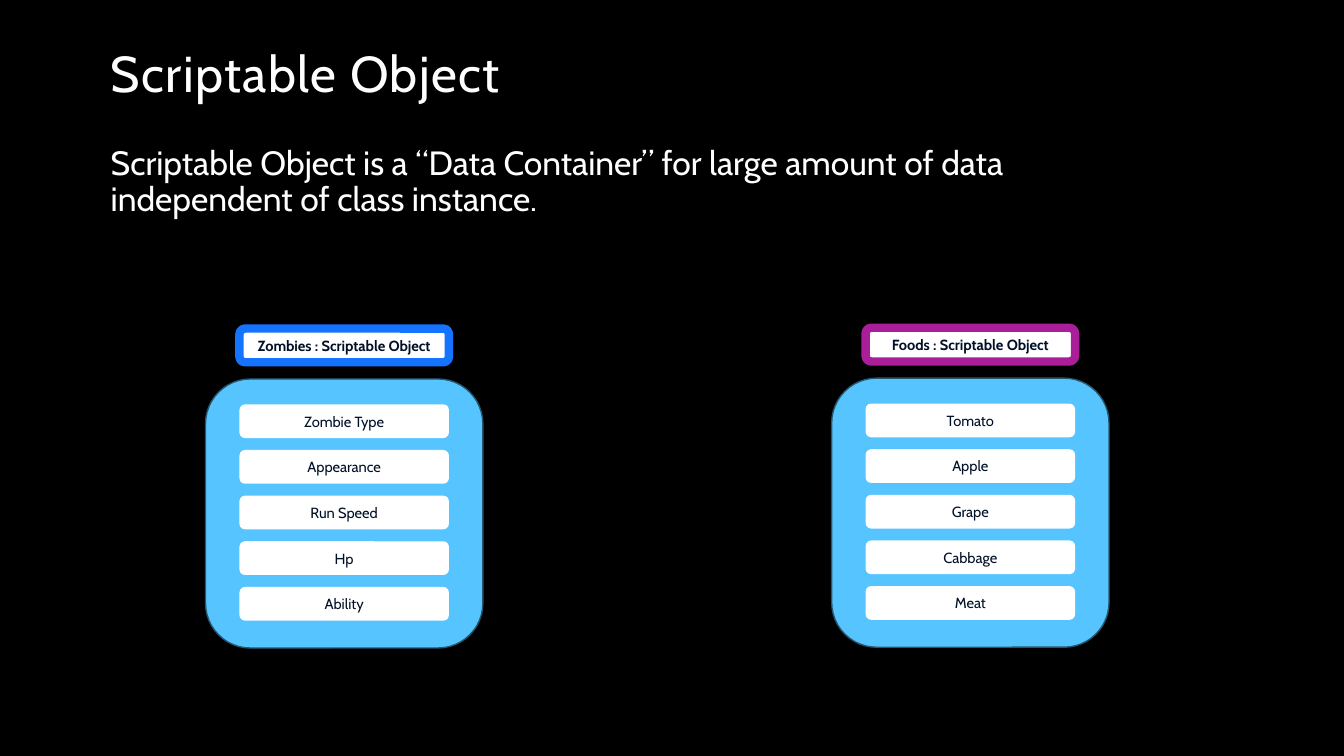
from dataclasses import dataclass

from pptx import Presentation
from pptx.dml.color import RGBColor
from pptx.enum.shapes import MSO_SHAPE
from pptx.enum.text import MSO_ANCHOR, PP_ALIGN
from pptx.util import Cm, Pt


@dataclass(frozen=True)
class Theme:
    font: str = "Cabin"
    background: str = "000000"
    light: str = "FFFFFF"
    ink: str = "001027"
    card: str = "56C5FF"
    card_edge: str = "265670"
    zombies: str = "1474FF"
    foods: str = "AB1E9A"
    title_size: float = 36
    body_size: float = 24
    label_size: float = 10.5


THEME = Theme()
PILL_WIDTH, PILL_HEIGHT = 5.28, 0.85
ROW_TOP, ROW_PITCH = 0.64, 1.15
HEADER_RISE = 1.27


def colour(value):
    return RGBColor.from_string(value)


def set_attributes(target, values):
    for name, value in values.items():
        setattr(target, name, value)


def write(frame, text, size, ink, bold=False, **para_format):
    """Fill a text frame with one paragraph and return its span."""
    frame.word_wrap = True
    para = frame.paragraphs[0]
    set_attributes(para, para_format)
    span = para.add_run()
    span.text = text
    set_attributes(span.font, {"name": THEME.font, "size": Pt(size), "bold": bold})
    span.font.color.rgb = colour(ink)
    return span


def add_text(page, box, text, size, anchor, spacing=0):
    """Left-aligned text in a box, with optional letter spacing in points."""
    frame = page.shapes.add_textbox(*map(Cm, box)).text_frame
    frame.vertical_anchor = anchor
    span = write(frame, text, size, THEME.light, line_spacing=0.9)
    if spacing:
        span.font._element.set("spc", str(spacing * 100))


def add_rounded(page, box, fill, edge=None, edge_width=1):
    shape = page.shapes.add_shape(MSO_SHAPE.ROUNDED_RECTANGLE, *map(Cm, box))
    shape.shadow.inherit = False
    shape.fill.solid()
    shape.fill.fore_color.rgb = colour(fill)
    if edge:
        shape.line.color.rgb = colour(edge)
        shape.line.width = Pt(edge_width)
    else:
        shape.line.fill.background()
    return shape


def add_pill(page, left, top, text, edge=None, bold=False):
    pill = add_rounded(page, (left, top, PILL_WIDTH, PILL_HEIGHT), THEME.light, edge, 6)
    pill.text_frame.vertical_anchor = MSO_ANCHOR.MIDDLE
    write(pill.text_frame, text, THEME.label_size, THEME.ink, bold,
          alignment=PP_ALIGN.CENTER)


def add_container(page, box, header, accent, fields):
    """Blue card with a framed header above it and a stack of fields inside."""
    left, top, width, _ = box
    pill_left = left + (width - PILL_WIDTH) / 2
    add_rounded(page, box, THEME.card, THEME.card_edge)
    add_pill(page, pill_left, top - HEADER_RISE, header, accent, bold=True)
    for row, field in enumerate(fields):
        add_pill(page, pill_left, top + ROW_TOP + row * ROW_PITCH, field)


def main():
    deck = Presentation()
    set_attributes(deck, {"slide_width": Cm(33.87), "slide_height": Cm(19.05)})
    page = deck.slides.add_slide(deck.slide_layouts[6])
    page.background.fill.solid()
    page.background.fill.fore_color.rgb = colour(THEME.background)

    # Heading and definition
    add_text(page, (2.54, 0.84, 25.4, 1.9), "Scriptable Object",
             THEME.title_size, MSO_ANCHOR.BOTTOM, spacing=1)
    add_text(page, (2.54, 3.56, 25.6, 3.6),
             "Scriptable Object is a “Data Container” for large amount of data "
             "independent of class instance.", THEME.body_size, MSO_ANCHOR.TOP)

    # Two example containers
    add_container(page, (5.18, 9.55, 6.99, 6.78), "Zombies : Scriptable Object",
                  THEME.zombies,
                  ["Zombie Type", "Appearance", "Run Speed", "Hp", "Ability"])
    add_container(page, (20.96, 9.53, 6.99, 6.78), "Foods : Scriptable Object",
                  THEME.foods, ["Tomato", "Apple", "Grape", "Cabbage", "Meat"])

    deck.save("out.pptx")


if __name__ == "__main__":
    main()
